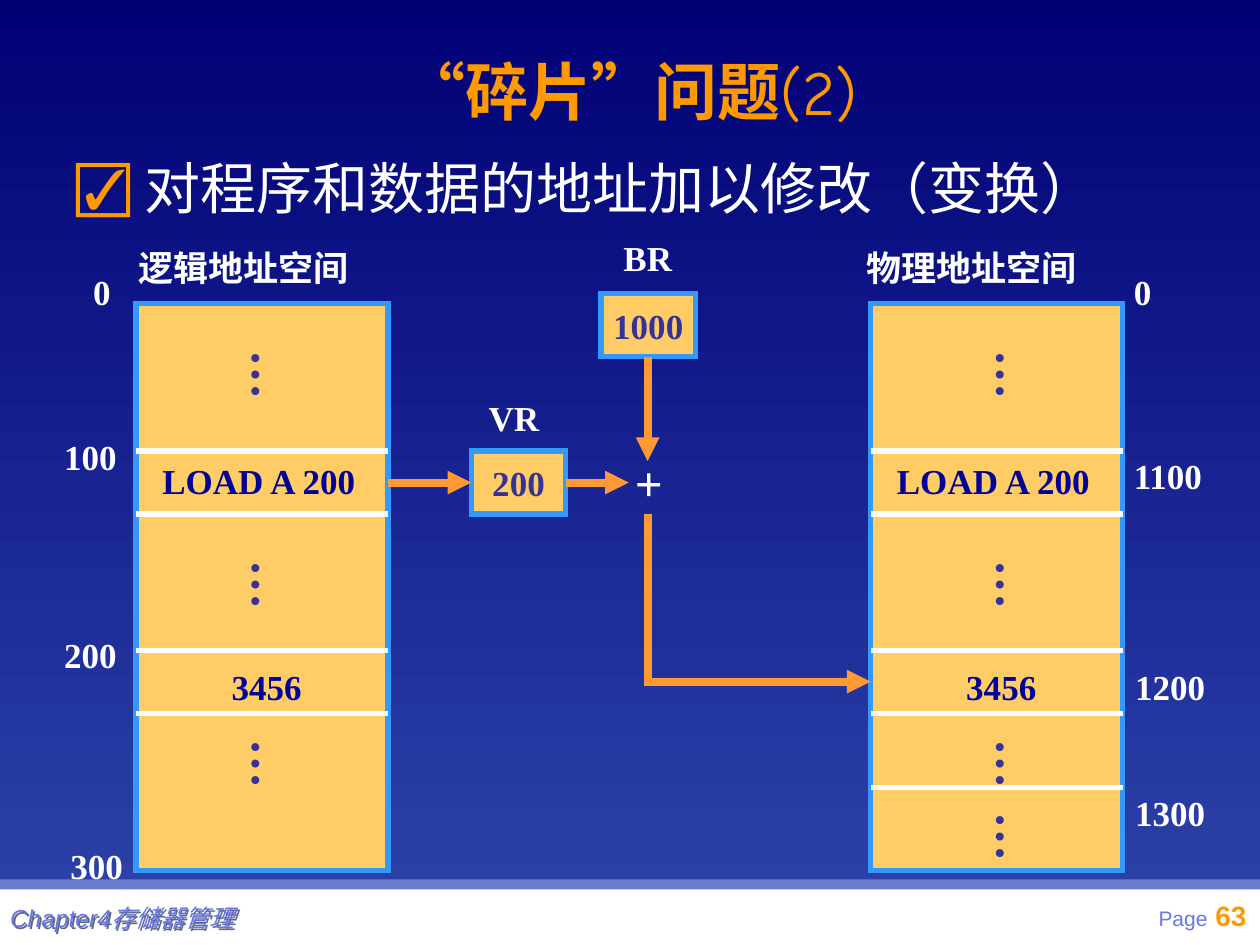
from dataclasses import dataclass

from lxml import etree
from pptx import Presentation
from pptx.dml.color import RGBColor
from pptx.enum import shapes, text
from pptx.oxml import ns
from pptx.util import Inches, Pt


@dataclass(frozen=True)
class Theme:
    sky_top: str = "000075"
    sky_bottom: str = "2E45AB"
    accent: str = "FF9900"
    arrow: str = "FF9933"
    memory: str = "FFCC66"
    frame: str = "3399FF"
    white: str = "FFFFFF"
    content: str = "000099"
    register: str = "333399"
    strip: str = "6B7BCD"
    footer: str = "6876E7"
    shade: str = "5F6B80"
    serif: str = "Times New Roman"
    sans: str = "Arial"
    hand: str = "Comic Neue"
    chinese: str = "Noto Sans CJK SC"
    title: int = 36
    body: int = 32
    symbol: int = 28
    label: int = 20
    number: int = 16
    note: int = 14
    small: int = 12


THEME = Theme()
CELL_TOP, CELL_HEIGHT = 2.41, 4.5
COLUMN_WIDTH = 2
LABEL_SLACK = 0.04
RULES = (3.58, 4.08, 5.16, 5.66)
DOTS = (2.68, 4.35, 5.77)


def rgb(value):
    return RGBColor.from_string(value)


def add_xml(parent, tag, **attributes):
    return etree.SubElement(parent, ns.qn(tag), attributes)


def style(span, size, color, latin=THEME.serif, bold=True, asian=THEME.chinese):
    font = span.font
    font.size, font.bold, font.name = Pt(size), bold, latin
    font.color.rgb = rgb(color)
    add_xml(span._r.get_or_add_rPr(), "a:ea", typeface=asian)


def add_span(para, words, *args, **kwargs):
    span = para.add_run()
    span.text = words
    style(span, *args, **kwargs)
    return span


def add_box(page, left, top, width, height, wrap=False):
    box = page.shapes.add_textbox(*map(Inches, (left, top, width, height)))
    box.text_frame.word_wrap = wrap
    box.text_frame.auto_size = text.MSO_AUTO_SIZE.SHAPE_TO_FIT_TEXT
    return box


def add_label(page, words, left, top, width, color=THEME.white,
              size=THEME.label, height=0.44):
    """Add one line of text, with slack so that it never breaks."""
    box = add_box(page, left, top, width + LABEL_SLACK, height)
    add_span(box.text_frame.paragraphs[0], words, size, color)


def add_block(page, left, top, width, height, fill, line=None):
    block = page.shapes.add_shape(shapes.MSO_SHAPE.RECTANGLE,
                                  *map(Inches, (left, top, width, height)))
    block.shadow.inherit = False
    block.fill.solid()
    block.fill.fore_color.rgb = rgb(fill)
    if line:
        block.line.color.rgb = rgb(line)
        block.line.width = Pt(3)
        add_xml(block.line._get_or_add_ln(), "a:miter", lim="800000")
    else:
        block.line.fill.background()
    return block


def add_line(page, start, end, color, width, arrow=False):
    line = page.shapes.add_connector(shapes.MSO_CONNECTOR.STRAIGHT,
                                     *map(Inches, (*start, *end)))
    line.line.color.rgb = rgb(color)
    line.line.width = Pt(width)
    if arrow:
        add_xml(line.line._get_or_add_ln(), "a:tailEnd", type="triangle")
    add_xml(line._element.spPr, "a:effectLst")


def add_dots(page, left, top):
    """Add an ellipsis that runs downwards."""
    frame = add_box(page, left, top, 0.66, 0.42, wrap=True).text_frame
    frame.margin_left = frame.margin_right = Inches(0.05)
    frame.margin_top = frame.margin_bottom = Inches(0.1)
    frame._txBody.bodyPr.set("vert", "eaVert")
    para = frame.paragraphs[0]
    para.space_after = Pt(8.8)
    add_span(para, "…", THEME.symbol, THEME.register, asian=THEME.serif)


def add_memory(page, left, dots_left, rules, dots):
    add_block(page, left, CELL_TOP, COLUMN_WIDTH, CELL_HEIGHT,
              THEME.memory, THEME.frame)
    for y in rules:
        add_line(page, (left, y), (left + COLUMN_WIDTH, y), THEME.white, 3)
    for y in dots:
        add_dots(page, dots_left, y)
    add_label(page, "LOAD A 200", left + 0.11, 3.6, 1.76, THEME.content)
    add_label(page, "3456", left + 0.66, 5.23, 0.75, THEME.content)


def add_register(page, value, left, top):
    block = add_block(page, left, top, 0.75, 0.5, THEME.memory, THEME.frame)
    frame = block.text_frame
    frame.word_wrap = False
    frame.vertical_anchor = text.MSO_ANCHOR.MIDDLE
    para = frame.paragraphs[0]
    para.alignment = text.PP_ALIGN.CENTER
    add_span(para, value, THEME.label, THEME.register)


def place(shape, left, top, width, height):
    shape.left, shape.top, shape.width, shape.height = map(
        Inches, (left, top, width, height))


def fill_background(page):
    fill = page.background.fill
    fill.gradient()
    fill.gradient_angle = 270
    for stop, color in zip(fill.gradient_stops,
                           (THEME.sky_top, THEME.sky_bottom)):
        stop.color.rgb = rgb(color)


def add_footer(page):
    add_block(page, 0, 7.04, 10, 0.46, THEME.white)
    add_block(page, 0, 6.98, 10, 0.08, THEME.strip)
    para = add_box(page, 6.32, 7.08, 3.67, 0.4, wrap=True).text_frame.paragraphs[0]
    para.alignment = text.PP_ALIGN.RIGHT
    add_span(para, "Page", THEME.small, THEME.footer, THEME.sans, False)
    add_span(para, " ", THEME.number, THEME.accent, THEME.sans, False)
    add_span(para, "63", THEME.number, THEME.accent, THEME.sans)

    box = add_box(page, 0.08, 7.17, 2.17, 0.23, wrap=True)
    frame = box.text_frame
    frame.margin_left = frame.margin_right = 0
    frame.margin_top = frame.margin_bottom = 0
    span = add_span(frame.paragraphs[0], "Chapter4存储器管理",
                    THEME.note, THEME.footer, THEME.sans, False)
    span.font.italic = True
    effects = add_xml(box._element.spPr, "a:effectLst")
    shadow = add_xml(effects, "a:outerShdw", dist="17961", dir="2700000")
    add_xml(shadow, "a:srgbClr", val=THEME.shade)


def fill_title(title):
    place(title, 0.5, 0.25, 9, 1.03)
    frame = title.text_frame
    frame.auto_size = text.MSO_AUTO_SIZE.NONE
    frame.vertical_anchor = text.MSO_ANCHOR.MIDDLE
    para = frame.paragraphs[0]
    para.alignment = text.PP_ALIGN.CENTER
    para.line_spacing = 0.85
    for words, latin in (("“", THEME.sans), ("碎片", THEME.chinese),
                         ("”", THEME.sans), ("问题", THEME.chinese),
                         ("(2)", THEME.hand)):
        add_span(para, words, THEME.title, THEME.accent, latin,
                 latin != THEME.hand)


def fill_body(body):
    place(body, 0.5, 1.17, 8.33, 1.17)
    body.text_frame.auto_size = text.MSO_AUTO_SIZE.NONE
    para = body.text_frame.paragraphs[0]
    para.space_before, para.space_after = Pt(0), Pt(10)
    props = para._p.get_or_add_pPr()
    props.set("marL", str(Inches(0.38)))
    props.set("indent", str(Inches(-0.38)))
    add_xml(add_xml(props, "a:buClr"), "a:srgbClr", val=THEME.accent)
    add_xml(props, "a:buChar", char="☑")
    add_span(para, " ", THEME.body, THEME.white)
    add_span(para, "对程序和数据的地址加以修改（变换）",
             THEME.body, THEME.white, bold=False)


def main():
    deck = Presentation()
    deck.slide_width, deck.slide_height = Inches(10), Inches(7.5)
    page = deck.slides.add_slide(deck.slide_layouts[1])
    fill_background(page)
    add_footer(page)
    fill_title(page.shapes.title)
    fill_body(page.placeholders[1])

    add_memory(page, 1.08, 1.78, RULES, DOTS)
    add_memory(page, 6.91, 7.69, (*RULES, 6.25), (*DOTS, 6.35))
    for words, left, top, width in (
            ("逻辑地址空间", 1, 1.91, 1.87), ("物理地址空间", 6.78, 1.91, 1.87),
            ("0", 0.64, 2.1, 0.34), ("100", 0.41, 3.41, 0.61),
            ("200", 0.41, 4.98, 0.61), ("300", 0.46, 6.65, 0.61),
            ("0", 8.9, 2.1, 0.34), ("1100", 8.9, 3.56, 0.75),
            ("1200", 8.91, 5.23, 0.75), ("1300", 8.91, 6.23, 0.75),
            ("VR", 3.78, 3.1, 0.6), ("BR", 4.85, 1.83, 0.59)):
        add_label(page, words, left, top, width)

    add_register(page, "200", 3.74, 3.58)
    add_register(page, "1000", 4.77, 2.33)
    add_label(page, "+", 4.94, 3.54, 0.42, size=THEME.symbol, height=0.57)
    for start, end, arrow in (
            ((3.08, 3.83), (3.74, 3.83), True), ((4.49, 3.83), (4.99, 3.83), True),
            ((5.14, 2.83), (5.14, 3.66), True), ((5.14, 4.08), (5.14, 5.41), False),
            ((5.11, 5.41), (6.91, 5.41), True)):
        add_line(page, start, end, THEME.arrow, 4.5, arrow)
    deck.save("out.pptx")


if __name__ == "__main__":
    main()
